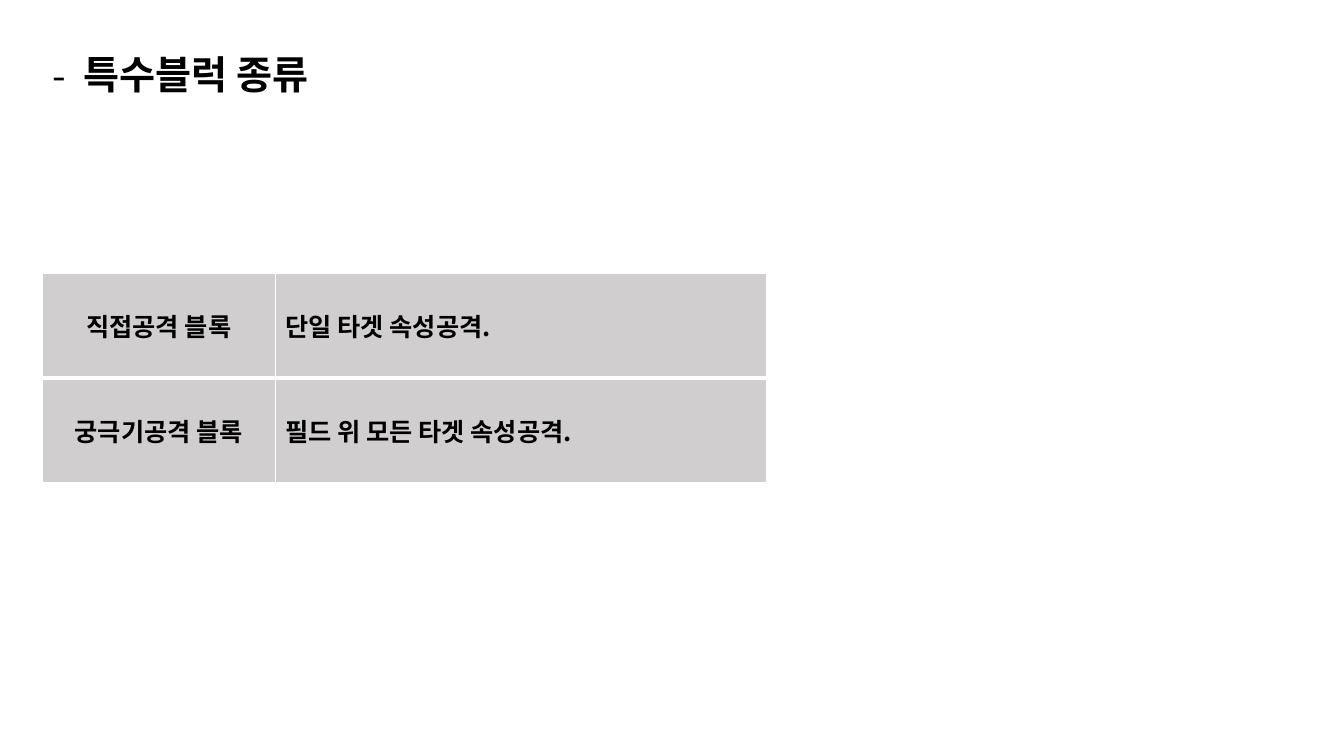
import pptx
import pptx.dml.color
import pptx.enum.text
import pptx.oxml
import pptx.oxml.ns
import pptx.util

RGB = pptx.dml.color.RGBColor
BLACK = RGB(0x00, 0x00, 0x00)
WHITE = RGB(0xFF, 0xFF, 0xFF)
GRAY = RGB(0xD0, 0xCE, 0xCE)
ALIGN = pptx.enum.text.PP_ALIGN
ANCHOR = pptx.enum.text.MSO_ANCHOR
FIT = pptx.enum.text.MSO_AUTO_SIZE
NS = pptx.oxml.ns.nsdecls("a")
COLS, ROWS = 32, 72


def write(frame, text, font, size=18, color=BLACK, bold=True, align=ALIGN.LEFT):
    para = frame.paragraphs[0]
    para.alignment = align
    run = para.add_run()
    run.text = text
    run.font.size = pptx.util.Pt(size)
    run.font.bold = bold
    run.font.color.rgb = color
    run.font.name = font
    props = run.font._element
    props.append(pptx.oxml.parse_xml(f'<a:ea {NS} typeface="{font}"/>'))
    return para


class Deck:
    def __init__(self, font):
        self.font = font
        self.file = pptx.Presentation()
        self.file.slide_width = pptx.util.Inches(13.33)
        self.file.slide_height = pptx.util.Inches(7.5)
        self.slide = self.file.slides.add_slide(self.file.slide_layouts[5])

    def wide(self, cols):
        return round(self.file.slide_width * cols / COLS)

    def high(self, rows):
        return round(self.file.slide_height * rows / ROWS)

    def title(self, text, left, top, width, height):
        shape = self.slide.shapes.title
        shape.left, shape.top = self.wide(left), self.high(top)
        shape.width, shape.height = self.wide(width), self.high(height)
        frame = shape.text_frame
        frame.word_wrap = True
        frame.auto_size = FIT.SHAPE_TO_FIT_TEXT
        frame.vertical_anchor = ANCHOR.TOP
        para = write(frame, text, self.font, size=28)
        props = para._p.get_or_add_pPr()
        indent = pptx.util.Inches(0.31)
        props.set("marL", str(indent))
        props.set("indent", str(-indent))
        for mark in (f'buFont {NS} typeface="{self.font}"', f'buChar {NS} char="-"'):
            props.append(pptx.oxml.parse_xml(f"<a:{mark}/>"))

    def border(self, cell, sides):
        props = cell._tc.get_or_add_tcPr()
        for spot, (side, size) in enumerate(sides.items()):
            line = (
                f'<a:ln{side} {NS} w="{pptx.util.Pt(size)}"><a:solidFill>'
                f'<a:srgbClr val="{WHITE}"/></a:solidFill></a:ln{side}>'
            )
            props.insert(spot, pptx.oxml.parse_xml(line))

    def table(self, data, left, top, widths, height):
        grid = self.slide.shapes.add_table(
            len(data), len(widths), self.wide(left), self.high(top),
            self.wide(sum(widths)), self.high(height * len(data)),
        ).table
        for col, width in zip(grid.columns, widths):
            col.width = self.wide(width)
        for row, texts in enumerate(data):
            grid.rows[row].height = self.high(height)
            above = 3 if row == 1 else 1
            below = 3 if row == 0 else 1
            for col, text in enumerate(texts):
                cell = grid.cell(row, col)
                cell.fill.solid()
                cell.fill.fore_color.rgb = GRAY
                cell.vertical_anchor = ANCHOR.MIDDLE
                align = ALIGN.LEFT if col else ALIGN.CENTER
                write(cell.text_frame, text, self.font, align=align)
                self.border(cell, {"L": 1, "R": 1, "T": above, "B": below})


def main():
    deck = Deck("Noto Sans CJK KR")
    deck.title("특수블럭 종류", 1, 4.3, 29.74, 5.5)
    blocks = [
        ("직접공격 블록", "단일 타겟 속성공격."),
        ("궁극기공격 블록", "필드 위 모든 타겟 속성공격."),
    ]
    deck.table(blocks, 1, 26, (5.56, 11.7), 10)
    deck.file.save("out.pptx")


if __name__ == "__main__":
    main()
